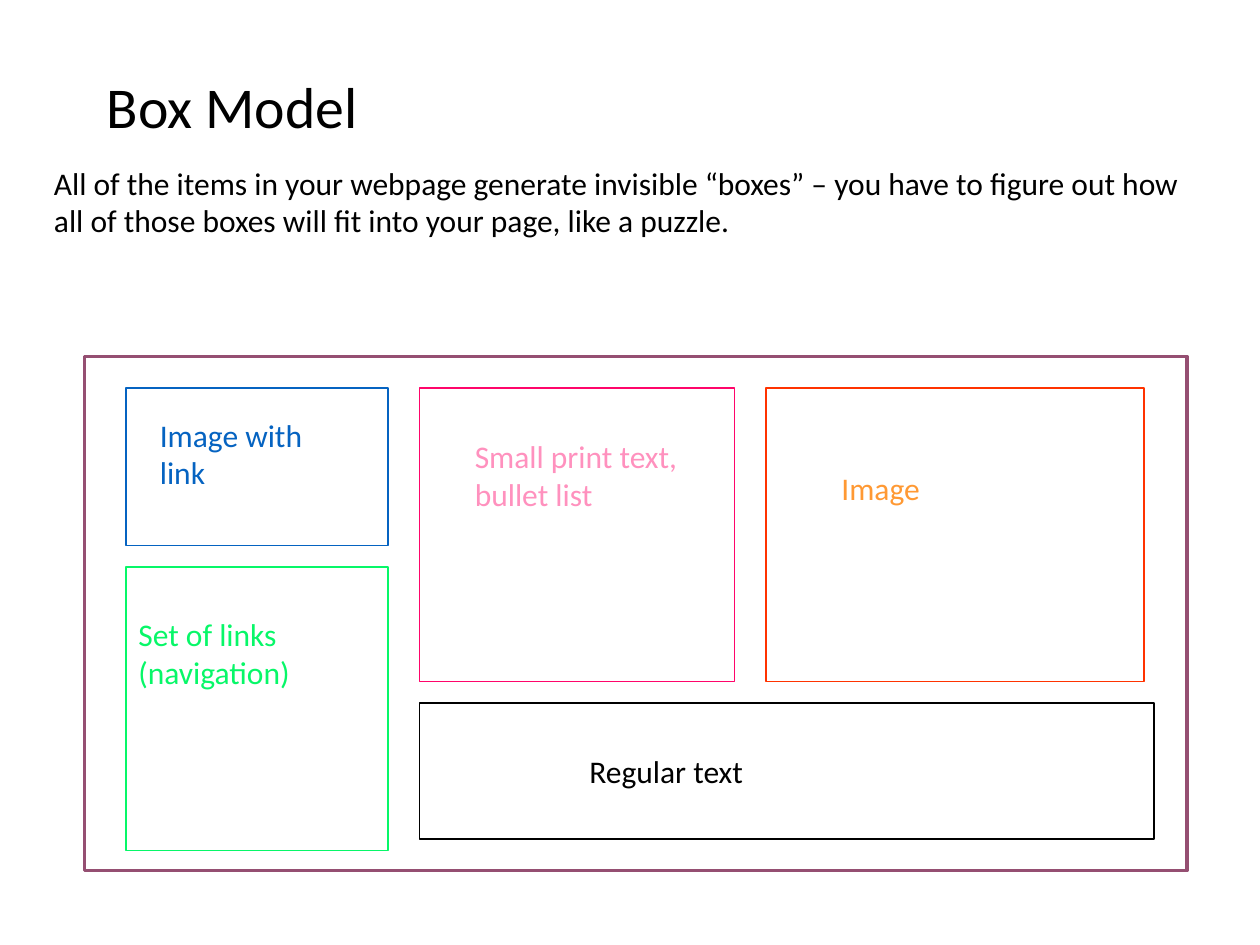
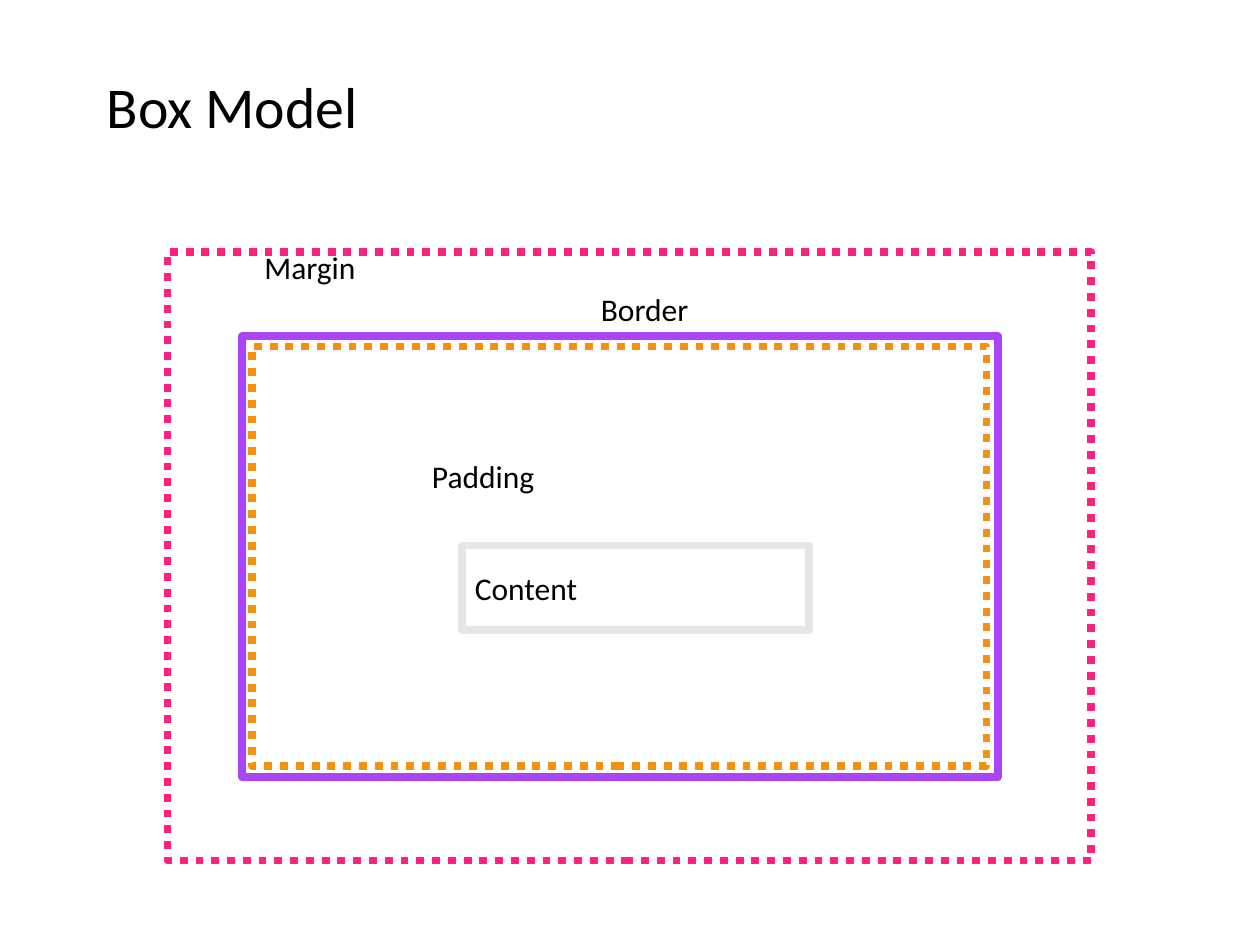
from pptx import Presentation
from pptx.dml.color import RGBColor
from pptx.enum.dml import MSO_LINE
from pptx.enum.shapes import MSO_SHAPE
from pptx.enum.text import MSO_ANCHOR, PP_ALIGN
from pptx.util import Inches, Pt

RECTANGLE = MSO_SHAPE.RECTANGLE
DOTTED = MSO_LINE.ROUND_DOT
TOP, MIDDLE = MSO_ANCHOR.TOP, MSO_ANCHOR.MIDDLE
LEFT = PP_ALIGN.LEFT

FONT = "Calibri"
BLACK, WHITE = "000000", "FFFFFF"
PURPLE, BLUE, GREEN = "954F72", "0563C1", "07F768"
PINK, PALE_PINK = "FF056A", "FF91BE"
RED, ORANGE = "FF3300", "FF9933"
MARGIN_PINK, BORDER_VIOLET = "FF217C", "AB44F4"
PADDING_ORANGE, CONTENT_GREY = "F5910A", "E7E6E6"


def write(slide, text, at, size=18, color=BLACK, anchor=TOP, spacing=1.0):
    label = slide.shapes.add_textbox(*map(Inches, at))
    frame = label.text_frame
    frame.word_wrap = True
    frame.vertical_anchor = anchor
    paragraph = frame.paragraphs[0]
    paragraph.alignment = LEFT
    paragraph.line_spacing = spacing
    run = paragraph.add_run()
    run.text = text
    run.font.name = FONT
    run.font.size = Pt(size)
    run.font.color.rgb = RGBColor.from_string(color)


def outline(slide, at, color, width=1, fill=None, dash=None):
    box = slide.shapes.add_shape(RECTANGLE, *map(Inches, at))
    box.shadow.inherit = False
    if fill:
        box.fill.solid()
        box.fill.fore_color.rgb = RGBColor.from_string(fill)
    else:
        box.fill.background()
    box.line.color.rgb = RGBColor.from_string(color)
    box.line.width = Pt(width)
    if dash:
        box.line.dash_style = dash


deck = Presentation()
deck.slide_width, deck.slide_height = Inches(10), Inches(7.5)
blank = deck.slide_layouts[6]
page_layout, box_layers = [deck.slides.add_slide(blank) for _ in range(2)]

for slide in (page_layout, box_layers):
    write(slide, "Box Model", (0.75, 0.25, 8.5, 1.25),
          size=33, anchor=MIDDLE, spacing=0.9)

write(page_layout,
      "All of the items in your webpage generate invisible “boxes” – you have "
      "to figure out how all of those boxes will fit into your page, like a puzzle.",
      (0.33, 1.25, 9.33, 0.7))
outline(page_layout, (0.67, 2.83, 8.75, 4.08), PURPLE, width=2)

page_items = [
    ("Image with link", (1, 3.08, 2.08, 1.25), BLUE, (1.17, 3.25, 1.58, 0.7), BLUE),
    ("Small print text, bullet list", (3.33, 3.08, 2.5, 2.33), PINK,
     (3.67, 3.42, 1.83, 0.7), PALE_PINK),
    ("Set of links (navigation)", (1, 4.5, 2.08, 2.25), GREEN,
     (1, 4.83, 2.08, 0.7), GREEN),
    ("Regular text", (3.33, 5.58, 5.83, 1.08), BLACK, (4.58, 5.92, 3.25, 0.4), BLACK),
    ("Image", (6.08, 3.08, 3, 2.33), RED, (6.58, 3.67, 2, 0.4), ORANGE),
]
for caption, box_at, box_color, caption_at, caption_color in page_items:
    outline(page_layout, box_at, box_color)
    write(page_layout, caption, caption_at, color=caption_color)

layers = [
    ((1.33, 2, 7.33, 4.83), MARGIN_PINK, DOTTED),
    ((1.92, 2.67, 6, 3.5), BORDER_VIOLET, None),
    ((2, 2.75, 5.83, 3.33), PADDING_ORANGE, DOTTED),
    ((3.67, 4.33, 2.75, 0.67), CONTENT_GREY, None),
]
for layer_at, layer_color, dash in layers:
    outline(box_layers, layer_at, layer_color, width=4.5, fill=WHITE, dash=dash)

layer_names = [
    ("Content", (3.67, 4.33, 2.75, 0.67), MIDDLE),
    ("Padding", (3.33, 3.58, 1.58, 0.4), TOP),
    ("Border", (4.67, 2.25, 1.42, 0.4), TOP),
    ("Margin", (2, 1.92, 1.33, 0.4), TOP),
]
for name, name_at, anchor in layer_names:
    write(box_layers, name, name_at, anchor=anchor)

deck.save("out.pptx")
